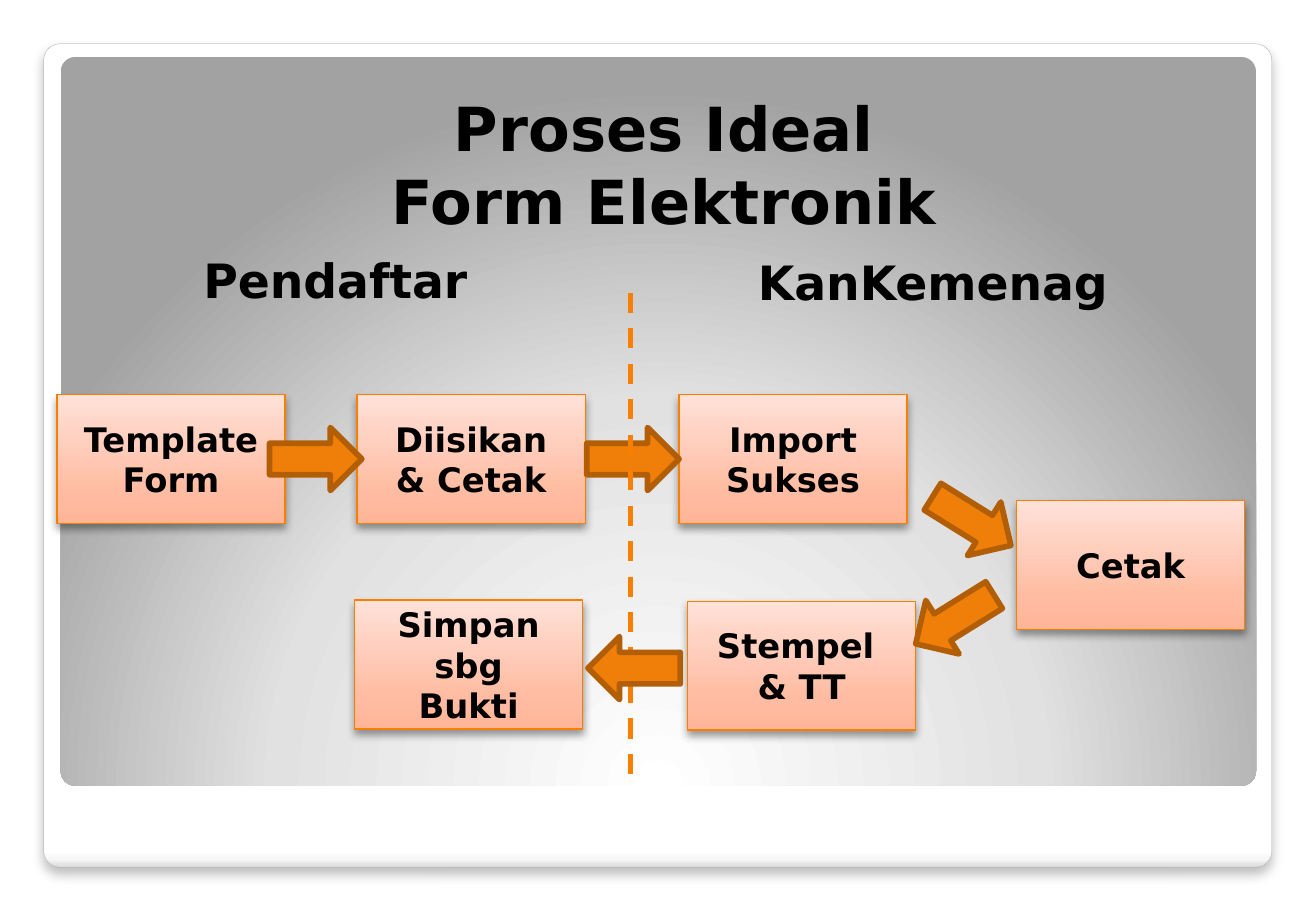
from lxml import etree
from pptx import Presentation
from pptx.dml.color import RGBColor
from pptx.enum.dml import MSO_LINE
from pptx.enum.shapes import MSO_CONNECTOR, MSO_SHAPE
from pptx.enum.text import MSO_ANCHOR, MSO_AUTO_SIZE, PP_ALIGN
from pptx.oxml.ns import qn
from pptx.util import Pt

DASH = MSO_LINE.DASH
STRAIGHT = MSO_CONNECTOR.STRAIGHT
RECT, ROUND = MSO_SHAPE.RECTANGLE, MSO_SHAPE.ROUNDED_RECTANGLE
ARROW = MSO_SHAPE.RIGHT_ARROW
TOP, MIDDLE = MSO_ANCHOR.TOP, MSO_ANCHOR.MIDDLE
NO_FIT = MSO_AUTO_SIZE.NONE
CENTER = PP_ALIGN.CENTER

# Content
FONT = "DejaVu Sans"
COLORS = {"text": "000000", "rule": "F97F00", "arrow": "F07F09",
          "edge": "B25E07", "frame": "A4A4A4", "shadow": "000000"}
GRADS = {
    "frame": [(0, "FFFFFF"), (98, "FFFFFF"), (99, "F7F7F7"), (100, "DADADA")],
    "panel": [(0, "FFFFFF"), (55, "E1E1E1"), (100, "A2A2A2")],
    "box": [(0, "FFB598"), (25, "FFBCA2"), (100, "FFE1D8")],
}
TITLE = "Proses Ideal\vForm Elektronik"
HEADS = [("Pendaftar", 49.7, 144), ("KanKemenag", 403.9, 145.4)]
BOXES = [  # text, left, top
    ("Template\vForm", 33.8, 234),
    ("Diisikan\v& Cetak", 211.7, 234),
    ("Import\vSukses", 402.5, 234),
    ("Cetak", 602.6, 296.6),
    ("Stempel \v& TT", 407.5, 356.4),
    ("Simpan sbg\vBukti", 210.2, 355.7),
]
OUT = [(159.8, 253.4, 0), (347.8, 253.4, 0)]  # left, top, turn
BACK = [(548.6, 290.2, 31.9), (538.6, 348.5, 148.1), (348.5, 377.3, 180)]
BOX_SIZE, ARROW_SIZE, HEAD_SIZE = (135.2, 76.4), (54.7, 37.4), (298, 46.8)

deck = Presentation()
deck.slide_width, deck.slide_height = Pt(780), Pt(540)
slide = deck.slides.add_slide(deck.slide_layouts[5])
shapes = slide.shapes


def paint(line, color, width):
    line.color.rgb = RGBColor.from_string(COLORS[color])
    line.width = Pt(width)


def add_shape(kind, left, top, size):
    shape = shapes.add_shape(kind, Pt(left), Pt(top), *map(Pt, size))
    shape.shadow.inherit = False
    return shape


def add_color(parent, color, alpha=100):
    node = etree.SubElement(parent, qn("a:srgbClr"), val=color)
    if alpha < 100:
        etree.SubElement(node, qn("a:alpha"), val=str(alpha * 1000))


def add_grad(shape, name, angle=None):
    """Fill linearly at an angle, or in circles around a point below."""
    grad = etree.Element(qn("a:gradFill"), rotWithShape="1")
    stops = etree.SubElement(grad, qn("a:gsLst"))
    for place, color in GRADS[name]:
        add_color(etree.SubElement(stops, qn("a:gs"), pos=str(place * 1000)), color)
    if angle is None:
        ring = etree.SubElement(grad, qn("a:path"), path="circle")
        etree.SubElement(ring, qn("a:fillToRect"),
                         l="50000", t="175000", r="50000", b="-75000")
    else:
        etree.SubElement(grad, qn("a:lin"), ang=str(angle * 60000), scaled="0")
    shape.element.spPr.insert(2, grad)


def add_shadow(shape, alpha, blur, dist):
    effects = shape.element.spPr.find(qn("a:effectLst"))
    node = etree.SubElement(effects, qn("a:outerShdw"), blurRad=str(Pt(blur)),
                            dist=str(Pt(dist)), dir="5400000", rotWithShape="0")
    add_color(node, COLORS["shadow"], alpha)


def write(shape, text, size, anchor):
    frame = shape.text_frame
    frame.word_wrap, frame.auto_size = True, NO_FIT
    frame.vertical_anchor = anchor
    if anchor == TOP:
        frame.margin_top = Pt(5)
    para = frame.paragraphs[0]
    para.text = text
    para.alignment = CENTER
    font = para.font
    font.name, font.size, font.bold = FONT, Pt(size), True
    font.color.rgb = RGBColor.from_string(COLORS["text"])


def add_arrows(spots):
    for left, top, turn in spots:
        arrow = add_shape(ARROW, left, top, ARROW_SIZE)
        arrow.rotation = turn
        arrow.fill.solid()
        arrow.fill.fore_color.rgb = RGBColor.from_string(COLORS["arrow"])
        paint(arrow.line, "edge", 3.35)


# Frame and panel
frame = add_shape(ROUND, 25.9, 25.9, (727.9, 488.2))
add_grad(frame, "frame", 90)
paint(frame.line, "frame", 0.16)
add_shadow(frame, 25, 6, 4)
panel = add_shape(ROUND, 36, 33.8, (708.5, 432))
add_grad(panel, "panel")
panel.line.fill.background()
for card in (frame, panel):
    card.adjustments[0] = 0.02

# Title, brought in front of the panel
title = shapes.title
title.left, title.top, title.width, title.height = map(Pt, (49.7, 49, 687.6, 108))
write(title, TITLE, 36, TOP)
title.element.getparent().append(title.element)

# Steps
for text, left, top in BOXES:
    box = add_shape(RECT, left, top, BOX_SIZE)
    add_grad(box, "box", 270)
    paint(box.line, "rule", 0.75)
    add_shadow(box, 40, 5.2, 3)
    write(box, text, 20, MIDDLE)

# Arrows and the divider between the two sides
add_arrows(OUT)
rule = shapes.add_connector(STRAIGHT, Pt(373.7), Pt(173.5), Pt(373.7), Pt(463))
paint(rule.line, "rule", 3)
rule.line.dash_style = DASH
etree.SubElement(rule.element.spPr, qn("a:effectLst"))
add_arrows(BACK)

# Side headings
for text, left, top in HEADS:
    head = shapes.add_textbox(Pt(left), Pt(top), *map(Pt, HEAD_SIZE))
    write(head, text, 28, TOP)

deck.save("out.pptx")
